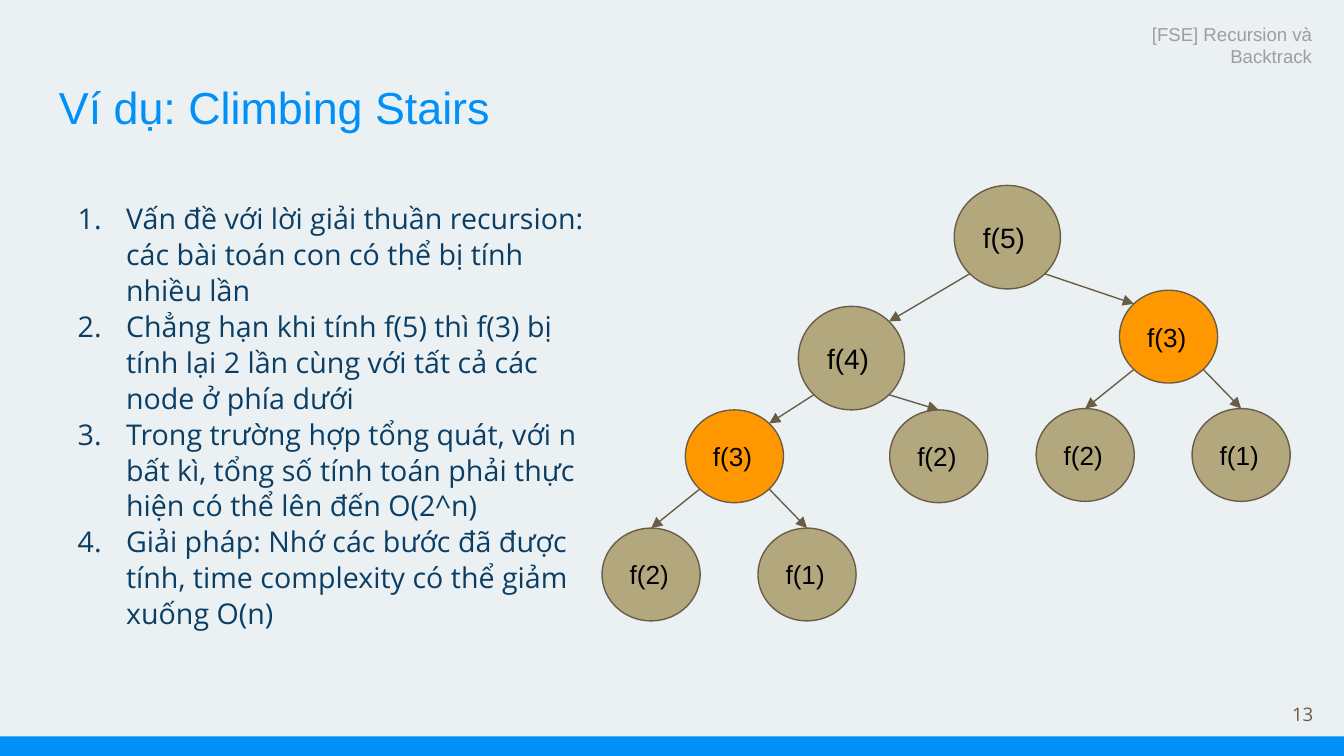
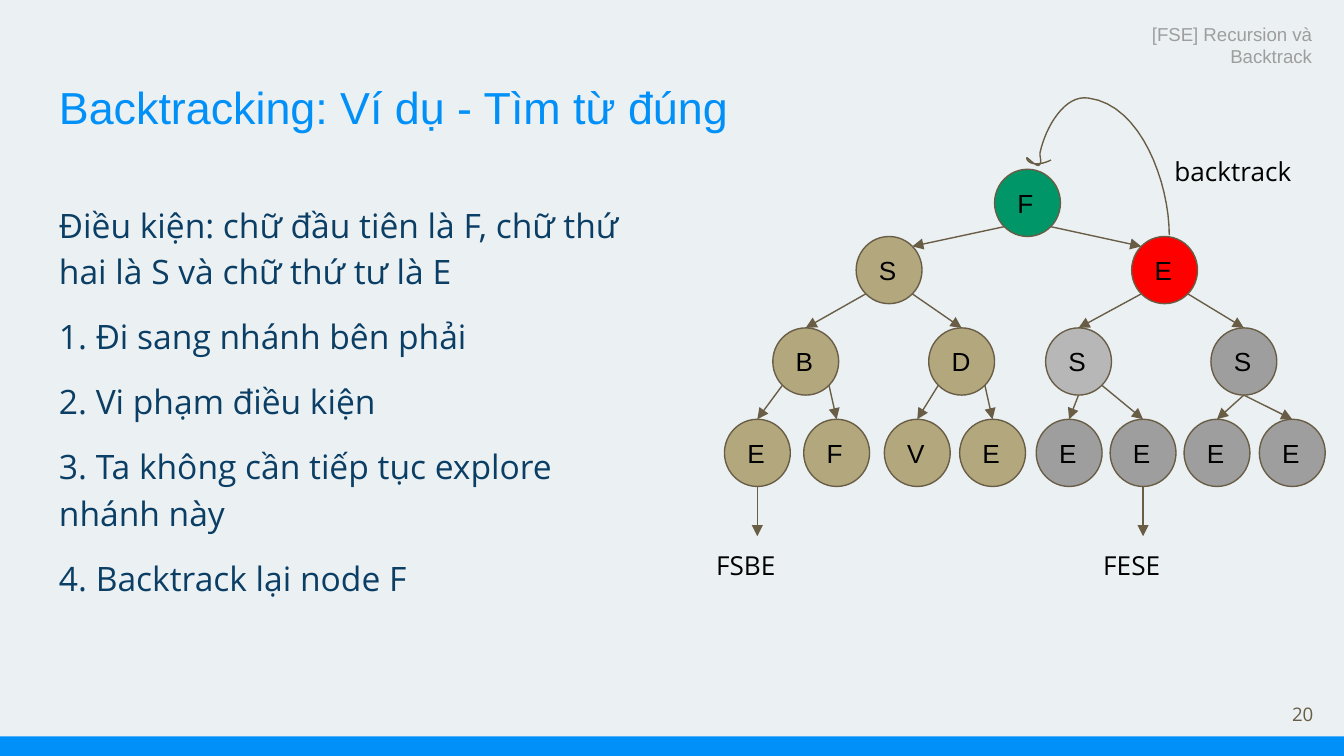
from dataclasses import dataclass
from enum import Enum
from math import cos, radians, sin
from typing import Any

from lxml.etree import SubElement
from pptx import Presentation
from pptx.dml.color import RGBColor
from pptx.enum.shapes import MSO_CONNECTOR as Connector, MSO_SHAPE as ShapeKind
from pptx.enum.text import MSO_ANCHOR as Anchor, PP_ALIGN as Align
from pptx.oxml.ns import qn
from pptx.util import Inches, Pt

SLIDE_WIDTH = Inches(10)
SLIDE_HEIGHT = SLIDE_WIDTH * 9 // 16

BACKGROUND = RGBColor(0xEB, 0xF0, 0xF3)
BLUE = RGBColor(0x00, 0x90, 0xF8)
NAVY = RGBColor(0x0B, 0x3E, 0x64)
BROWN = RGBColor(0x69, 0x5D, 0x46)
SAND = RGBColor(0xB3, 0xA7, 0x7D)
ORANGE = RGBColor(0xFF, 0x98, 0x00)
GREEN = RGBColor(0x00, 0x96, 0x68)
RED = RGBColor(0xFF, 0x00, 0x00)
GRAY = RGBColor(0x9E, 0x9E, 0x9E)
LIGHT_GRAY = RGBColor(0xB7, 0xB7, 0xB7)
BLACK = RGBColor(0x00, 0x00, 0x00)

SANS = "Arial"
BODY = "Open Sans"
LARGE = (0.79, 0.77)
MEDIUM = (0.73, 0.69)
SMALL = (0.49, 0.50)
Point = tuple[float, float]


class Site(Enum):
    TOP = -90
    TOP_RIGHT = -45
    BOTTOM_RIGHT = 45
    BOTTOM = 90
    BOTTOM_LEFT = 135
    TOP_LEFT = 225


@dataclass(frozen=True)
class TextStyle:
    font: str
    size: float
    color: RGBColor
    align: Align = Align.LEFT
    anchor: Anchor = Anchor.TOP
    line_spacing: float = 1.0
    space_before: float = 0
    numbered: bool = False


@dataclass(frozen=True)
class Node:
    label: str
    left: float
    top: float
    size: Point = SMALL
    fill: RGBColor = SAND
    font_size: float = 14

    def site(self, site: Site) -> Point:
        width, height = self.size
        angle = radians(site.value)
        return (self.left + width / 2 * (1 + cos(angle)),
                self.top + height / 2 * (1 + sin(angle)))


@dataclass(frozen=True)
class Edge:
    parent: str
    child: str
    start: Site
    end: Site = Site.TOP


TITLE = TextStyle(SANS, 24, BLUE)
HEADER = TextStyle(SANS, 10, GRAY, Align.RIGHT)
PAGE_NUMBER = TextStyle(BODY, 10, BROWN, Align.RIGHT, Anchor.MIDDLE)
NUMBERED = TextStyle(BODY, 15.3, NAVY, line_spacing=1.05, numbered=True)
STEPS = TextStyle(BODY, 18, NAVY, line_spacing=1.15, space_before=10)
CAPTION = TextStyle(BODY, 14, BLACK)

PROBLEMS = [
    "Vấn đề với lời giải thuần recursion: các bài toán con có thể bị tính nhiều lần",
    "Chẳng hạn khi tính f(5) thì f(3) bị tính lại 2 lần cùng với tất cả các node ở phía dưới",
    "Trong trường hợp tổng quát, với n bất kì, tổng số tính toán phải thực hiện có thể lên đến O(2^n)",
    "Giải pháp: Nhớ các bước đã được tính, time complexity có thể giảm xuống O(n)",
]
BACKTRACK_STEPS = [
    "Điều kiện: chữ đầu tiên là F, chữ thứ hai là S và chữ thứ tư là E",
    "1. Đi sang nhánh bên phải",
    "2. Vi phạm điều kiện",
    "3. Ta không cần tiếp tục explore nhánh này",
    "4. Backtrack lại node F",
]

STAIR_NODES = {
    "root": Node("f(5)", 7.1, 1.38, LARGE, font_size=15),
    "left": Node("f(4)", 5.94, 2.28, LARGE, font_size=15),
    "right": Node("f(3)", 8.33, 2.16, MEDIUM, ORANGE),
    "left f3": Node("f(3)", 5.1, 3.05, MEDIUM, ORANGE),
    "left f2": Node("f(2)", 6.62, 3.05, MEDIUM),
    "right f2": Node("f(2)", 7.71, 3.04, MEDIUM),
    "right f1": Node("f(1)", 8.87, 3.04, MEDIUM),
    "deep f2": Node("f(2)", 4.48, 3.93, MEDIUM),
    "deep f1": Node("f(1)", 5.64, 3.93, MEDIUM),
}
STAIR_EDGES = [
    Edge("root", "left", Site.BOTTOM_LEFT, Site.TOP_RIGHT),
    Edge("root", "right", Site.BOTTOM_RIGHT, Site.TOP_LEFT),
    Edge("left", "left f3", Site.BOTTOM_LEFT, Site.TOP_RIGHT),
    Edge("left", "left f2", Site.BOTTOM_RIGHT),
    Edge("right", "right f2", Site.BOTTOM_LEFT),
    Edge("right", "right f1", Site.BOTTOM_RIGHT),
    Edge("left f3", "deep f2", Site.BOTTOM_LEFT),
    Edge("left f3", "deep f1", Site.BOTTOM_RIGHT),
]

ROW_THREE, ROW_FOUR = 2.44, 3.12
WORD_NODES = {
    "F": Node("F", 7.4, 1.26, fill=GREEN),
    "FS": Node("S", 6.37, 1.76),
    "FE": Node("E", 8.42, 1.76, fill=RED),
    "FSB": Node("B", 5.75, ROW_THREE),
    "FSD": Node("D", 6.91, ROW_THREE),
    "FES left": Node("S", 7.78, ROW_THREE, fill=LIGHT_GRAY),
    "FES right": Node("S", 9.01, ROW_THREE, fill=GRAY),
    "FSBE": Node("E", 5.39, ROW_FOUR),
    "FSBF": Node("F", 5.98, ROW_FOUR),
    "FSDV": Node("V", 6.58, ROW_FOUR),
    "FSDE": Node("E", 7.14, ROW_FOUR),
    "gray 1": Node("E", 7.71, ROW_FOUR, fill=GRAY),
    "gray 2": Node("E", 8.26, ROW_FOUR, fill=GRAY),
    "gray 3": Node("E", 8.81, ROW_FOUR, fill=GRAY),
    "gray 4": Node("E", 9.37, ROW_FOUR, fill=GRAY),
}
WORD_EDGES = [
    Edge("F", "FS", Site.BOTTOM_LEFT, Site.TOP_RIGHT),
    Edge("F", "FE", Site.BOTTOM_RIGHT, Site.TOP_LEFT),
    Edge("FS", "FSB", Site.BOTTOM_LEFT),
    Edge("FS", "FSD", Site.BOTTOM_RIGHT),
    Edge("FE", "FES left", Site.BOTTOM_LEFT),
    Edge("FE", "FES right", Site.BOTTOM_RIGHT),
    Edge("FSB", "FSBE", Site.BOTTOM_LEFT),
    Edge("FSB", "FSBF", Site.BOTTOM_RIGHT),
    Edge("FSD", "FSDV", Site.BOTTOM_LEFT),
    Edge("FSD", "FSDE", Site.BOTTOM_RIGHT),
    Edge("FES left", "gray 1", Site.BOTTOM),
    Edge("FES left", "gray 2", Site.BOTTOM_RIGHT),
    Edge("FES right", "gray 3", Site.BOTTOM),
    Edge("FES right", "gray 4", Site.BOTTOM),
]
FOUND_WORDS = [("FSBE", "FSBE", 5.23), ("FESE", "gray 2", 8.11)]

BACKTRACK_START = (8.7, 1.75)
BACKTRACK_CURVES = [
    ((8.7, 1.36), (8.49, 0.78), (8.1, 0.73)),
    ((7.92, 0.7), (7.78, 0.95), (7.74, 1.13)),
    ((7.73, 1.16), (7.76, 1.21), (7.73, 1.23)),
    ((7.7, 1.24), (7.63, 1.15), (7.64, 1.18)),
    ((7.66, 1.24), (7.77, 1.22), (7.82, 1.19)),
]


def set_attributes(target: Any, values: dict[str, Any]) -> None:
    for name, value in values.items():
        setattr(target, name, value)


def write_text(shape: Any, lines: list[str], style: TextStyle) -> None:
    frame = shape.text_frame
    margins = {f"margin_{side}": Inches(0.1) for side in ("left", "top", "right", "bottom")}
    set_attributes(frame, {"word_wrap": True, "vertical_anchor": style.anchor, **margins})
    for index, line in enumerate(lines):
        paragraph = frame.add_paragraph() if index else frame.paragraphs[0]
        set_attributes(paragraph, {
            "alignment": style.align,
            "line_spacing": style.line_spacing,
            "space_before": Pt(style.space_before if index else 0),
        })
        run = paragraph.add_run()
        run.text = line
        set_attributes(run.font, {"name": style.font, "size": Pt(style.size)})
        run.font.color.rgb = style.color
        if style.numbered:
            add_number(paragraph, style.color)


def add_number(paragraph: Any, color: RGBColor) -> None:
    properties = paragraph._p.get_or_add_pPr()
    properties.set("marL", str(Inches(0.5)))
    properties.set("indent", str(Inches(-0.36)))
    bullet_color = SubElement(properties, qn("a:buClr"))
    SubElement(bullet_color, qn("a:srgbClr")).set("val", str(color))
    SubElement(properties, qn("a:buAutoNum")).set("type", "arabicPeriod")


def add_text(slide: Any, left: float, top: float, width: float, height: float,
             lines: list[str], style: TextStyle) -> None:
    shape = slide.shapes.add_textbox(Inches(left), Inches(top), Inches(width), Inches(height))
    write_text(shape, lines, style)


def add_filled(slide: Any, kind: ShapeKind, left: int, top: int,
               width: int, height: int, color: RGBColor) -> Any:
    shape = slide.shapes.add_shape(kind, left, top, width, height)
    shape.shadow.inherit = False
    shape.fill.solid()
    shape.fill.fore_color.rgb = color
    shape.line.fill.background()
    return shape


def draw_outline(shape: Any) -> None:
    shape.line.color.rgb = BROWN
    shape.line.width = Pt(0.75)


def add_arrow(slide: Any, start: Point, end: Point) -> None:
    connector = slide.shapes.add_connector(
        Connector.STRAIGHT, *(Inches(value) for value in (*start, *end)))
    draw_outline(connector)
    properties = connector.element.spPr
    SubElement(properties.find(qn("a:ln")), qn("a:tailEnd")).set("type", "triangle")
    SubElement(properties, qn("a:effectLst"))


def add_tree(slide: Any, nodes: dict[str, Node], edges: list[Edge]) -> None:
    for node in nodes.values():
        bounds = (Inches(value) for value in (node.left, node.top, *node.size))
        shape = add_filled(slide, ShapeKind.OVAL, *bounds, node.fill)
        draw_outline(shape)
        write_text(shape, [node.label],
                   TextStyle(SANS, node.font_size, BLACK, anchor=Anchor.MIDDLE))
    for edge in edges:
        add_arrow(slide, nodes[edge.parent].site(edge.start), nodes[edge.child].site(edge.end))


def curve_points(start: Point, curve: tuple[Point, Point, Point], steps: int = 16) -> list[Point]:
    points = []
    for step in range(1, steps + 1):
        t = step / steps
        weights = ((1 - t) ** 3, 3 * t * (1 - t) ** 2, 3 * t ** 2 * (1 - t), t ** 3)
        x, y = (sum(weight * value for weight, value in zip(weights, axis))
                for axis in zip(start, *curve))
        points.append((Inches(x), Inches(y)))
    return points


def add_backtrack_curve(slide: Any) -> None:
    start = BACKTRACK_START
    builder = slide.shapes.build_freeform(Inches(start[0]), Inches(start[1]))
    for curve in BACKTRACK_CURVES:
        builder.add_line_segments(curve_points(start, curve), close=False)
        start = curve[-1]
    shape = builder.convert_to_shape()
    shape.shadow.inherit = False
    shape.fill.background()
    draw_outline(shape)


def add_base_slide(presentation: Any, title: str, number: int) -> Any:
    slide = presentation.slides.add_slide(presentation.slide_layouts[6])
    slide.background.fill.solid()
    slide.background.fill.fore_color.rgb = BACKGROUND
    add_text(slide, 0.34, 0.49, 9.32, 0.77, [title], TITLE)
    band_top = Inches(5.48)
    add_filled(slide, ShapeKind.RECTANGLE, 0, band_top,
               SLIDE_WIDTH, SLIDE_HEIGHT - band_top, BLUE)
    add_text(slide, 9.27, 5.1, 0.6, 0.43, [str(number)], PAGE_NUMBER)
    add_text(slide, 7.88, 0.07, 1.98, 0.88, ["[FSE] Recursion và Backtrack"], HEADER)
    return slide


def add_stairs_slide(presentation: Any) -> None:
    slide = add_base_slide(presentation, "Ví dụ: Climbing Stairs", 13)
    add_text(slide, 0.34, 1.38, 4.14, 3.61, PROBLEMS, NUMBERED)
    add_tree(slide, STAIR_NODES, STAIR_EDGES)


def add_words_slide(presentation: Any) -> None:
    slide = add_base_slide(presentation, "Backtracking: Ví dụ - Tìm từ đúng", 20)
    add_text(slide, 0.34, 1.38, 4.49, 3.61, BACKTRACK_STEPS, STEPS)
    add_tree(slide, WORD_NODES, WORD_EDGES)
    for word, leaf, left in FOUND_WORDS:
        x, y = WORD_NODES[leaf].site(Site.BOTTOM)
        add_arrow(slide, (x, y), (x, 3.99))
        add_text(slide, left, 3.99, 0.79, 0.44, [word], CAPTION)
    add_backtrack_curve(slide)
    add_text(slide, 8.64, 1.06, 1.21, 0.44, ["backtrack"], CAPTION)


def main() -> None:
    presentation = Presentation()
    set_attributes(presentation, {"slide_width": SLIDE_WIDTH, "slide_height": SLIDE_HEIGHT})
    add_stairs_slide(presentation)
    add_words_slide(presentation)
    presentation.save("out.pptx")


if __name__ == "__main__":
    main()
